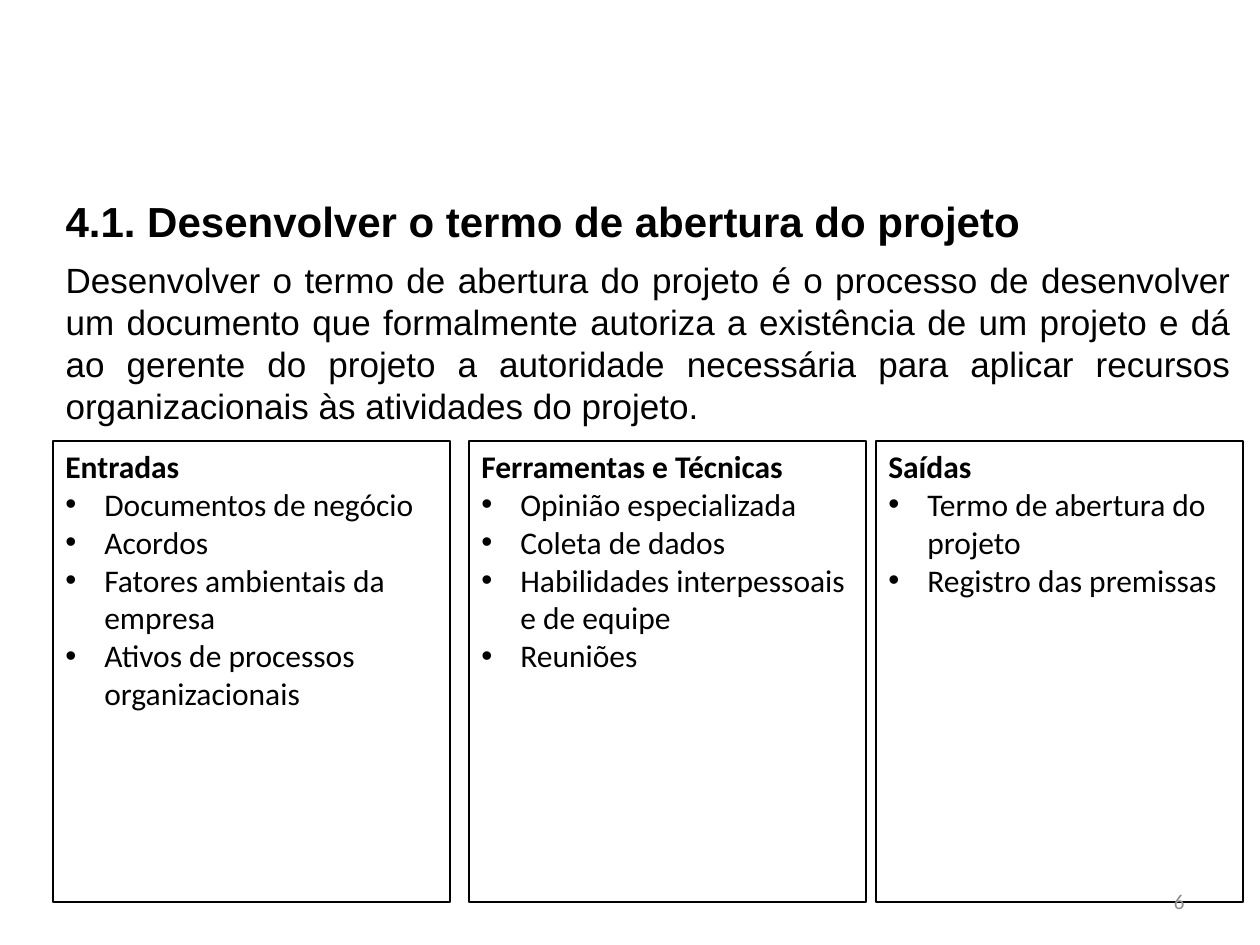
from dataclasses import dataclass

from lxml.etree import SubElement
from pptx import Presentation
from pptx.dml.color import RGBColor
from pptx.enum.shapes import MSO_SHAPE as Preset
from pptx.enum.text import MSO_ANCHOR as Anchor, MSO_AUTO_SIZE as AutoSize, PP_ALIGN as Align
from pptx.oxml.ns import qn
from pptx.util import Emu, Pt

EMU_PER_PX = 914400 / 126


def px(length: int) -> Emu:
    return Emu(round(length * EMU_PER_PX))


@dataclass(frozen=True)
class Theme:
    ink: RGBColor = RGBColor(0, 0, 0)
    muted: RGBColor = RGBColor(0x8C, 0x8C, 0x8C)
    heading_font: str = "Arial"
    panel_font: str = "Calibri"
    title_size: int = 24
    summary_size: int = 20
    panel_size: int = 18
    number_size: int = 12
    border: float = 0.75


@dataclass(frozen=True)
class Box:
    left: int
    top: int
    width: int
    height: int


@dataclass(frozen=True)
class Panel:
    heading: str
    items: tuple[str, ...]
    left: int
    width: int


THEME = Theme()
MARGIN = 53
PANEL_TOP, PANEL_HEIGHT = 441, 461
BULLET_INDENT = 39

PANELS = (
    Panel("Entradas", ("Documentos de negócio", "Acordos", "Fatores ambientais da empresa",
                       "Ativos de processos organizacionais"), MARGIN, 397),
    Panel("Ferramentas e Técnicas", ("Opinião especializada", "Coleta de dados",
                                     "Habilidades interpessoais e de equipe", "Reuniões"), 469, 397),
    Panel("Saídas", ("Termo de abertura do projeto", "Registro das premissas"), 876, 367),
)


def place(shape, box: Box) -> None:
    shape.left, shape.top = px(box.left), px(box.top)
    shape.width, shape.height = px(box.width), px(box.height)


def style(paragraph, font: str, size: int, color: RGBColor, align: Align, bold: bool = False) -> None:
    paragraph.alignment = align
    paragraph.space_before = Pt(0)
    paragraph.font.name = font
    paragraph.font.size = Pt(size)
    paragraph.font.bold = bold
    paragraph.font.color.rgb = color


def set_bullet(paragraph, indent: int, mark: str = "") -> None:
    properties = paragraph._p.get_or_add_pPr()
    properties.set("marL", str(px(indent)))
    properties.set("indent", str(-px(indent)))
    bullet = [child for child in properties if child.tag == qn("a:defRPr")]
    if mark:
        font = SubElement(properties, qn("a:buFont"), typeface="Arial")
        char = SubElement(properties, qn("a:buChar"), char=mark)
        marks = (font, char)
    else:
        marks = (SubElement(properties, qn("a:buNone")),)
    for default_run in bullet:
        for element in marks:
            default_run.addprevious(element)


def fill_text(shape, text: str, anchor: Anchor = Anchor.TOP):
    frame = shape.text_frame
    frame.word_wrap = True
    frame.auto_size = AutoSize.NONE
    frame.vertical_anchor = anchor
    frame.text = text
    return frame.paragraphs[0]


def draw_panel(slide, panel: Panel) -> None:
    frame_box = slide.shapes.add_shape(Preset.RECTANGLE, px(panel.left), px(PANEL_TOP),
                                       px(panel.width), px(PANEL_HEIGHT))
    frame_box.shadow.inherit = False
    frame_box.fill.background()
    frame_box.line.color.rgb = THEME.ink
    frame_box.line.width = Pt(THEME.border)
    heading = fill_text(frame_box, panel.heading)
    style(heading, THEME.panel_font, THEME.panel_size, THEME.ink, Align.LEFT, bold=True)
    for item in panel.items:
        entry = frame_box.text_frame.add_paragraph()
        entry.text = item
        style(entry, THEME.panel_font, THEME.panel_size, THEME.ink, Align.LEFT)
        set_bullet(entry, BULLET_INDENT, "•")


def main() -> None:
    deck = Presentation()
    deck.slide_width, deck.slide_height = px(1260), px(945)
    slide = deck.slides.add_slide(deck.slide_layouts[1])

    title, summary = slide.placeholders
    place(title, Box(MARGIN, 189, 1191, 63))
    heading = fill_text(title, "4.1. Desenvolver o termo de abertura do projeto")
    style(heading, THEME.heading_font, THEME.title_size, THEME.ink, Align.LEFT, bold=True)

    place(summary, Box(MARGIN, 252, 1191, 183))
    definition = fill_text(
        summary,
        "Desenvolver o termo de abertura do projeto é o processo de desenvolver um documento "
        "que formalmente autoriza a existência de um projeto e dá ao gerente do projeto a "
        "autoridade necessária para aplicar recursos organizacionais às atividades do projeto.")
    style(definition, THEME.heading_font, THEME.summary_size, THEME.ink, Align.JUSTIFY)
    set_bullet(definition, 0)

    for panel in PANELS:
        draw_panel(slide, panel)

    page_box = slide.shapes.add_textbox(px(903), px(876), px(294), px(50))
    page_number = fill_text(page_box, "6", Anchor.MIDDLE)
    style(page_number, THEME.panel_font, THEME.number_size, THEME.muted, Align.RIGHT)

    deck.save("out.pptx")


if __name__ == "__main__":
    main()
